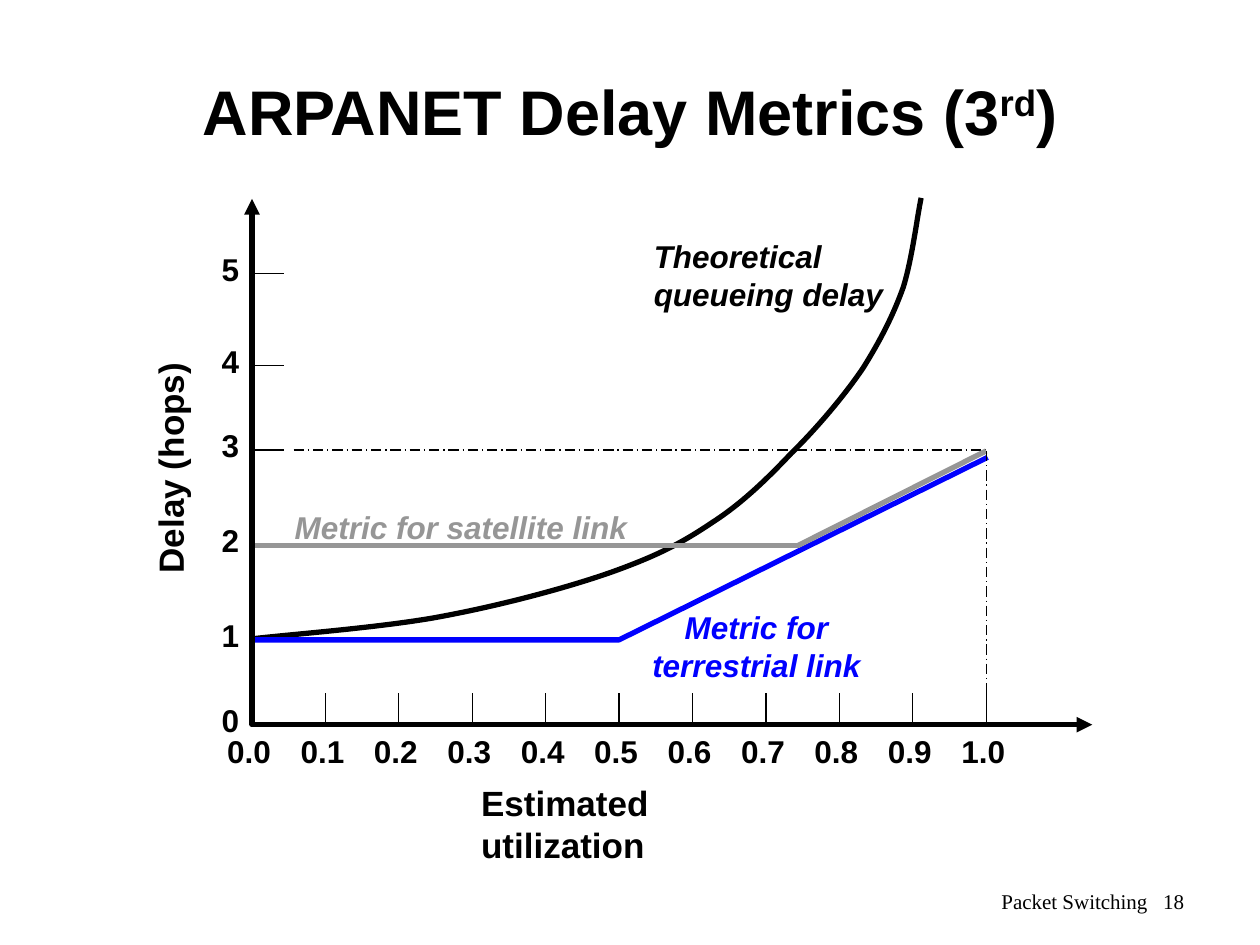
from pptx import Presentation
from pptx.dml.color import RGBColor
from pptx.enum.dml import MSO_LINE
from pptx.enum.shapes import MSO_CONNECTOR
from pptx.enum.text import MSO_ANCHOR, MSO_AUTO_SIZE, PP_ALIGN
from pptx.oxml.ns import qn
from pptx.util import Cm, Pt
from lxml import etree

STRAIGHT = MSO_CONNECTOR.STRAIGHT
DASH_DOT = MSO_LINE.LONG_DASH_DOT
LEFT, CENTER, RIGHT = PP_ALIGN.LEFT, PP_ALIGN.CENTER, PP_ALIGN.RIGHT
TOP, MIDDLE = MSO_ANCHOR.TOP, MSO_ANCHOR.MIDDLE
FIT_SHAPE, NO_FIT = MSO_AUTO_SIZE.SHAPE_TO_FIT_TEXT, MSO_AUTO_SIZE.NONE

COLORS = {"ink": "000000", "satellite": "969696", "terrestrial": "0000FF"}

# Plot geometry in centimetres
X0, Y0 = 5.08, 14.61
X_STEP, TICK = 1.48, 0.64
X_FULL = X0 + 10 * X_STEP
HOPS = {1: 12.9, 2: 10.97, 3: 9.07, 4: 7.37, 5: 5.51}
SATELLITE_Y = 11.0
THICK, THIN = 3, 0.75

# Start point, then three Bezier points per segment
QUEUEING = [
    (5.08, 12.88),
    (5.71, 12.8), (7.75, 12.65), (8.94, 12.42),
    (10.16, 12.19), (11.46, 11.84), (12.34, 11.53),
    (13.26, 11.2), (13.74, 10.95), (14.35, 10.54),
    (14.94, 10.16), (15.44, 9.68), (15.95, 9.14),
    (16.46, 8.64), (17.02, 7.98), (17.4, 7.42),
    (17.75, 6.86), (18.01, 6.35), (18.21, 5.79),
    (18.39, 5.21), (18.49, 4.37), (18.57, 3.99),
]


class Slide:
    """Holds the text style and the slide being drawn."""

    font = {"name": "Arial", "size": Pt(18), "bold": True}

    def __init__(self, prs):
        self.s = prs.slides.add_slide(prs.slide_layouts[6])

    def text(self, box, runs, color="ink", align=LEFT, anchor=TOP,
             wrap=False, vert=None, **font):
        sp = self.s.shapes.add_textbox(*(Cm(v) for v in box))
        tf = sp.text_frame
        frame = {"word_wrap": wrap, "vertical_anchor": anchor,
                 "auto_size": NO_FIT if wrap else FIT_SHAPE}
        for key, value in frame.items():
            setattr(tf, key, value)
        if vert:
            tf.margin_left = tf.margin_right = Cm(0.13)
            tf.margin_top = tf.margin_bottom = Cm(0.13)
            tf._txBody.bodyPr.set("vert", vert)
        p = tf.paragraphs[0]
        p.alignment = align
        for content, raised in ([(runs, False)] if isinstance(runs, str) else runs):
            for i, part in enumerate(content.split("\n")):
                if i:
                    p.add_line_break()
                r = p.add_run()
                r.text = part
                for key, value in {**self.font, **font}.items():
                    setattr(r.font, key, value)
                r.font.color.rgb = RGBColor.from_string(COLORS[color])
                if raised:
                    r.font._element.set("baseline", "30000")

    def stroke(self, sp, color, width, dash=None):
        sp.line.color.rgb = RGBColor.from_string(COLORS[color])
        sp.line.width = Pt(width)
        if dash:
            sp.line.dash_style = dash

    def line(self, x1, y1, x2, y2, color="ink", width=THIN, dash=None):
        sp = self.s.shapes.add_connector(
            STRAIGHT, Cm(x1), Cm(y1), Cm(x2), Cm(y2))
        self.stroke(sp, color, width, dash)
        etree.SubElement(sp._element.spPr, qn("a:effectLst"))

    def polyline(self, points, color="ink", width=THICK, arrows=False):
        pts = [(Cm(x), Cm(y)) for x, y in points]
        builder = self.s.shapes.build_freeform(*pts[0])
        builder.add_line_segments(pts[1:], close=False)
        sp = builder.convert_to_shape()
        sp.shadow.inherit = False
        sp.fill.background()
        self.stroke(sp, color, width)
        if arrows:
            ln = sp._element.spPr.find(qn("a:ln"))
            for end in ("a:headEnd", "a:tailEnd"):
                etree.SubElement(ln, qn(end), type="triangle")
        return sp

    def curve(self, points, **style):
        sp = self.polyline(points, **style)
        # Turn every three line segments into one Bezier segment
        outline = next(sp._element.iter(qn("a:path")))
        segments = outline.findall(qn("a:lnTo"))
        for i in range(0, len(segments), 3):
            bezier = etree.SubElement(outline, qn("a:cubicBezTo"))
            for seg in segments[i:i + 3]:
                bezier.append(seg[0])
                outline.remove(seg)


def main():
    prs = Presentation()
    prs.slide_width, prs.slide_height = Cm(25.4), Cm(19.05)
    s = Slide(prs)

    # Title and footer
    s.text((1.9, 0.64, 21.6, 3.17),
           [("ARPANET Delay Metrics (3", False), ("rd", True), (")", False)],
           align=CENTER, anchor=MIDDLE, wrap=True, size=Pt(36))
    s.text((18.21, 17.65, 5.92, 1.02), "Packet Switching   18", align=RIGHT,
           anchor=MIDDLE, wrap=True, name="Times New Roman", size=Pt(12),
           bold=False)

    # Axis titles
    s.text((2.87, 7.19, 1.35, 4.5), "Delay (hops)", vert="vert270", size=Pt(20))
    s.text((9.45, 15.62, 7.37, 1.12), "Estimated utilization", size=Pt(20))

    # Theoretical curve
    s.text((12.93, 4.65, 5.13, 1.78), "Theoretical\nqueueing delay", italic=True)
    s.curve(QUEUEING)

    # Utilization ticks
    for i in range(11):
        x = X0 + i * X_STEP
        s.line(x, Y0 - TICK, x, Y0)
        s.text((x - 0.75, 14.63, 1.4, 1.02), f"{i / 10:.1f}")

    # Hop ticks
    for hops, y in {0: Y0, **HOPS}.items():
        if hops:
            s.line(X0, y, X0 + TICK, y)
        s.text((4.22, y - 0.6, 0.86, 1.02), str(hops))

    # Link metrics and guides
    s.text((5.69, 10.11, 7.59, 1.02), "Metric for satellite link",
           color="satellite", wrap=True, italic=True)
    s.text((12.9, 12.14, 4.7, 1.78), "Metric for\nterrestrial link",
           color="terrestrial", align=CENTER, italic=True)
    s.polyline([(X0, HOPS[1]), (X0 + 5 * X_STEP, HOPS[1]), (19.91, 9.22)],
               color="terrestrial")
    s.line(5.92, HOPS[3], X_FULL, HOPS[3], dash=DASH_DOT)
    s.line(X0, SATELLITE_Y, 16.13, SATELLITE_Y, "satellite", THICK)
    s.line(16.08, SATELLITE_Y, X_FULL, 9.09, "satellite", THICK)

    # Axes
    s.polyline([(X0, 4.01), (X0, Y0), (22.02, Y0)], arrows=True)
    s.line(X_FULL, 9.09, X_FULL, Y0, dash=DASH_DOT)

    prs.save("out.pptx")


if __name__ == "__main__":
    main()
